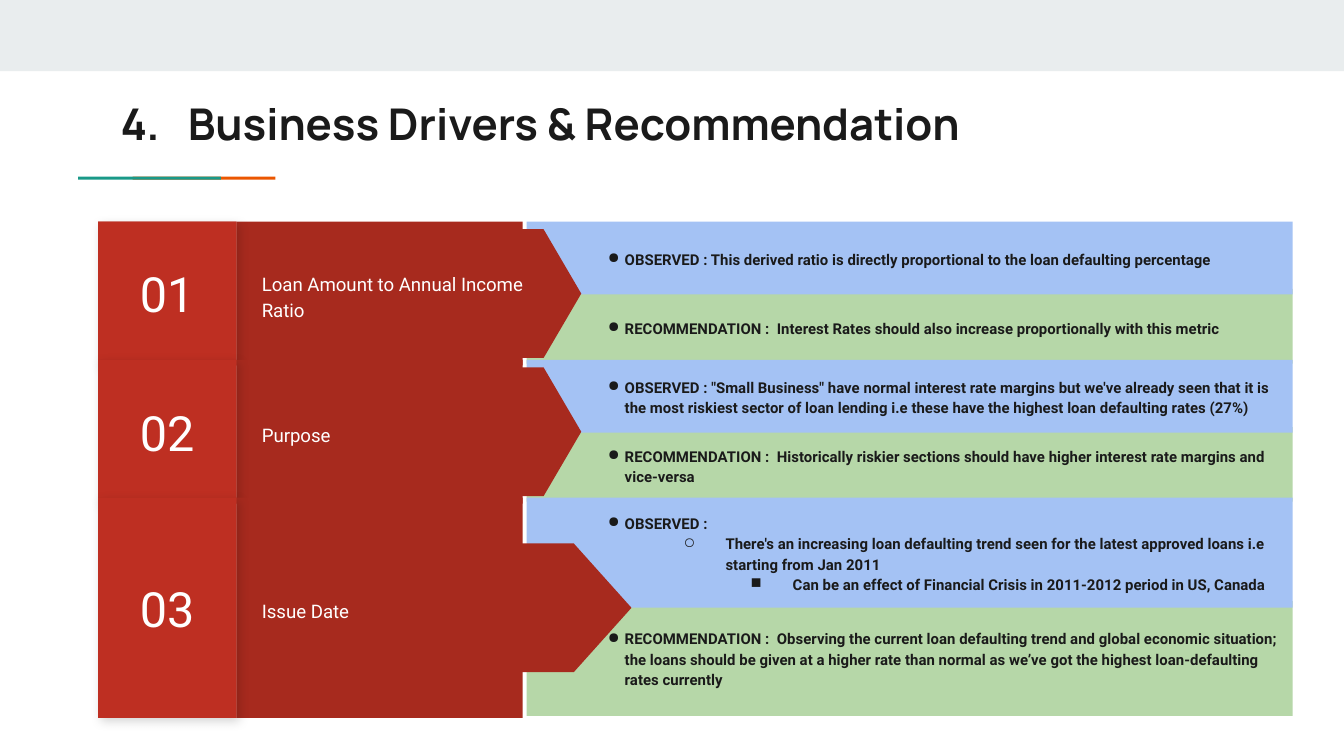
from lxml import etree
from pptx import Presentation
from pptx.dml.color import RGBColor
from pptx.enum.shapes import MSO_SHAPE
from pptx.enum.text import MSO_ANCHOR, PP_ALIGN
from pptx.oxml.ns import qn
from pptx.util import Pt

RECT = MSO_SHAPE.RECTANGLE
ARROW = MSO_SHAPE.FLOWCHART_OFFPAGE_CONNECTOR
MIDDLE, TOP = MSO_ANCHOR.MIDDLE, MSO_ANCHOR.TOP
CENTER, LEFT = PP_ALIGN.CENTER, PP_ALIGN.LEFT

GREY = RGBColor(0xE9, 0xED, 0xEE)
ORANGE = RGBColor(0xEB, 0x56, 0x00)
TEAL = RGBColor(0x1A, 0x99, 0x88)
GREEN = RGBColor(0xB6, 0xD7, 0xA8)
BLUE = RGBColor(0xA4, 0xC2, 0xF4)
DARK = RGBColor(0xA7, 0x2A, 0x1E)
BASE = RGBColor(0xB0, 0x2C, 0x20)
RED = RGBColor(0xBE, 0x2F, 0x22)
WHITE = RGBColor(0xFF, 0xFF, 0xFF)
INK = RGBColor(0x1A, 0x1A, 0x1A)

BULLETS = [("●", 18, -9), ("○", 72, -22.5), ("■", 108, -22.5)]

ROWS = [
    (118.8, 77, 39, 36, "01", ["Loan Amount to Annual Income", "Ratio"],
     ["OBSERVED : This derived ratio is directly proportional to the loan defaulting percentage"],
     "RECOMMENDATION :  Interest Rates should also increase proportionally with this metric"),
    (192.8, 77, 39, 36, "02", ["Purpose"],
     ["OBSERVED : \"Small Business\" have normal interest rate margins but we've already seen that "
      "it is the most riskiest sector of loan lending i.e these have the highest loan defaulting "
      "rates (27%)"],
     "RECOMMENDATION :  Historically riskier sections should have higher interest rate margins "
     "and vice-versa"),
    (266.6, 118, 59, 55.5, "03", ["Issue Date"],
     ["OBSERVED :",
      "There's an increasing loan defaulting trend seen for the latest approved loans i.e "
      "starting from Jan 2011",
      "Can be an effect of Financial Crisis in 2011-2012 period in US, Canada"],
     "RECOMMENDATION :  Observing the current loan defaulting trend and global economic "
     "situation; the loans should be given at a higher rate than normal as we’ve got the "
     "highest loan-defaulting rates currently"),
]


def add_block(slide, x, y, w, h, color, kind=RECT):
    block = slide.shapes.add_shape(kind, Pt(x), Pt(y), Pt(w), Pt(h))
    block.shadow.inherit = False
    block.fill.solid()
    block.fill.fore_color.rgb = color
    block.line.fill.background()
    return block


def add_shade(block):
    effects = block._element.spPr.find(qn("a:effectLst"))
    shade = etree.SubElement(effects, qn("a:outerShdw"), blurRad=str(Pt(5.6)),
                             dist=str(Pt(2.2)), dir="2700000", algn="bl", rotWithShape="0")
    tint = etree.SubElement(shade, qn("a:srgbClr"), val="000000")
    etree.SubElement(tint, qn("a:alpha"), val="17000")


def add_bullet(para, level):
    mark, margin, indent = BULLETS[level]
    para.level = level
    props = para._p.get_or_add_pPr()
    props.set("marL", str(Pt(margin)))
    props.set("indent", str(Pt(indent)))
    tint = etree.SubElement(props, qn("a:buClr"))
    etree.SubElement(tint, qn("a:srgbClr"), val=str(INK))
    etree.SubElement(props, qn("a:buChar"), char=mark)


def fill_text(shape, lines, size, color, font="Roboto", bold=False, anchor=MIDDLE,
              align=LEFT, space=1.0, listed=False):
    frame = shape.text_frame
    frame.word_wrap = True
    frame.vertical_anchor = anchor
    frame.margin_left = frame.margin_right = Pt(7.2)
    frame.margin_top = frame.margin_bottom = Pt(7.2)
    for level, line in enumerate(lines):
        para = frame.add_paragraph() if level else frame.paragraphs[0]
        para.alignment = align
        para.line_spacing = space
        if listed:
            add_bullet(para, level)
        run = para.add_run()
        run.text = line
        run.font.name = font
        run.font.size = Pt(size)
        run.font.bold = bold
        run.font.color.rgb = color


def add_text(slide, x, y, w, h, lines, size, color, **style):
    box = slide.shapes.add_textbox(Pt(x), Pt(y), Pt(w), Pt(h))
    fill_text(box, lines, size, color, **style)


def add_header(slide, x, y, w, h):
    add_block(slide, x, y, w, 38.2, GREY)
    add_block(slide, x + 71, y + 94.7, 76.5, 1.6, ORANGE)
    add_block(slide, x + 41.8, y + 94.7, 76.5, 1.6, TEAL)
    add_text(slide, x + 57.6, y + 44.6, w - 114.4, h - 54, ["4. \tBusiness Drivers & Recommendation"],
             23.4, INK, font="Manrope", bold=True, anchor=TOP)


def add_row(slide, x, y, w, h, upper, split, number, label, seen, advice):
    panel, notes = x + 229.6, x + 257
    add_block(slide, panel, y + split, x + w - panel, h - split - 1, GREEN)
    add_block(slide, panel, y, x + w - panel, upper, BLUE)
    add_block(slide, x + 74, y, 153.4, h, DARK)
    breadth, length = 69, 1.31 * h
    arrow = add_block(slide, x + 208.4 - breadth / 2, y + (h - length) / 2,
                      breadth, length, DARK, ARROW)
    arrow.rotation = 270
    add_text(slide, x + 80.6, y + 9.5, 208.8, h - 17, label, 10, WHITE, space=1.15)
    add_shade(add_block(slide, x, y, 74, h, BASE))
    badge = add_block(slide, x, y, 74, h, RED)
    fill_text(badge, [number], 26, WHITE, align=CENTER)
    for top, lines in ((y, seen), (y + split + 1, [advice])):
        add_text(slide, notes, top, x + w - notes, upper, lines, 8, INK,
                 bold=True, space=1.15, listed=True)


def main():
    deck = Presentation()
    deck.slide_width, deck.slide_height = Pt(720), Pt(405)
    slide = deck.slides.add_slide(deck.slide_layouts[6])
    add_header(slide, 0, 0, 720, 96.5)
    for top, height, *parts in ROWS:
        add_row(slide, 52.6, top, 640, height, *parts)
    deck.save("out.pptx")


if __name__ == "__main__":
    main()
